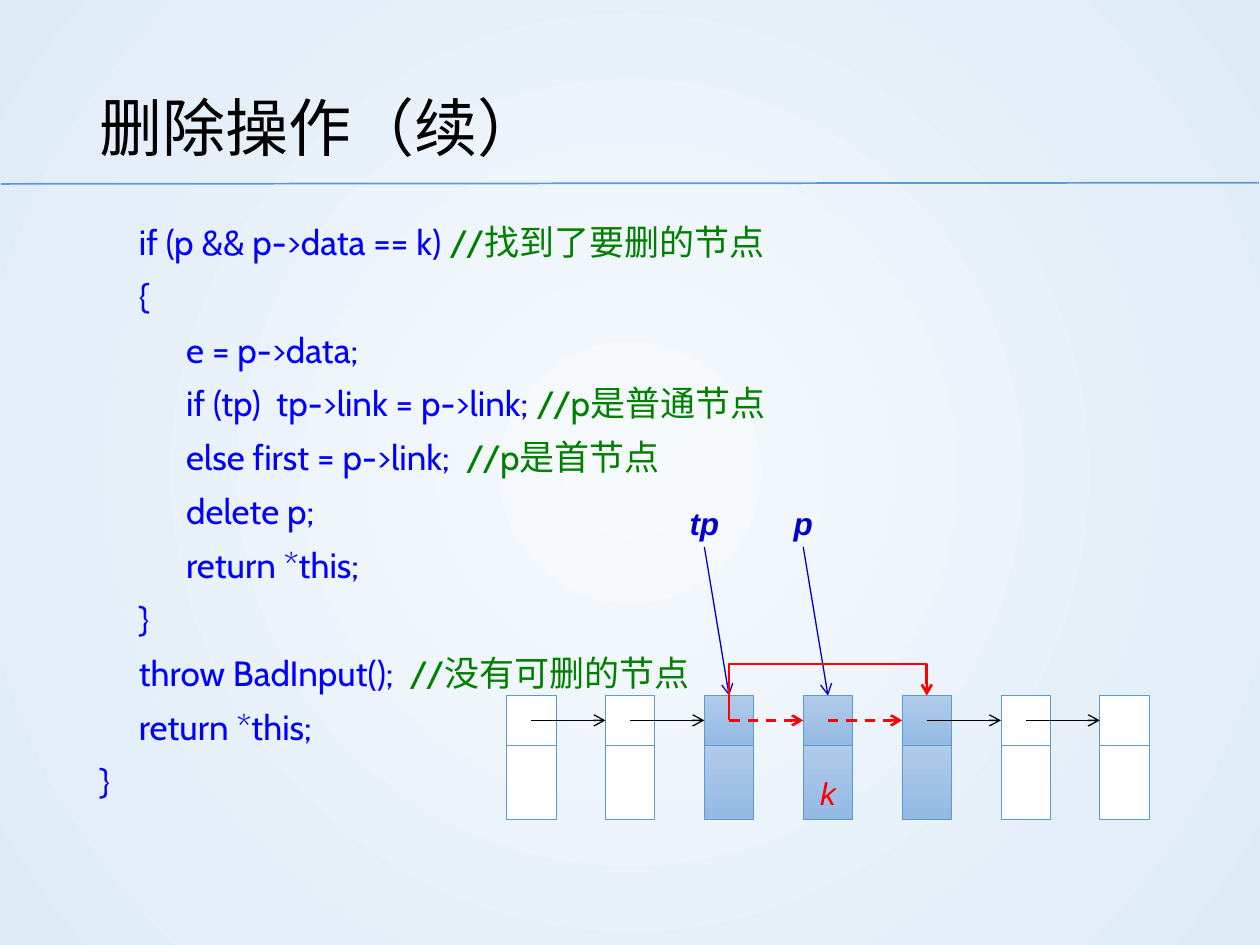
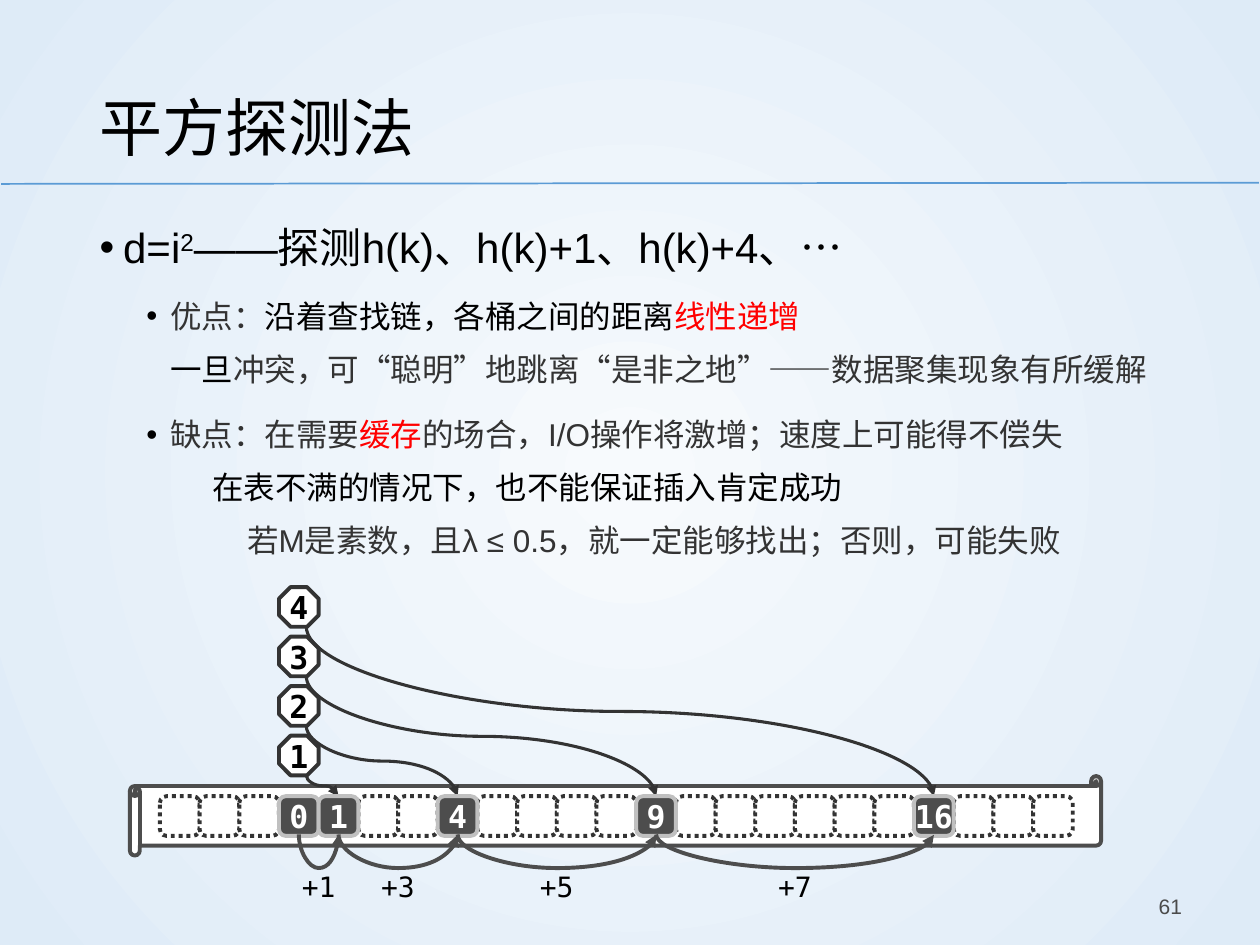
"""Build two slides on linked-list deletion and quadratic probing."""
import lxml.etree
import pptx
import pptx.dml.color
import pptx.enum.dml
import pptx.enum.shapes
import pptx.enum.text
import pptx.oxml.ns
import pptx.util

Pt = pptx.util.Pt
qn = pptx.oxml.ns.qn
SHAPE = pptx.enum.shapes.MSO_SHAPE
CONNECTOR = pptx.enum.shapes.MSO_CONNECTOR
DASH = pptx.enum.dml.MSO_LINE
ALIGN = pptx.enum.text.PP_ALIGN
MIDDLE = pptx.enum.text.MSO_ANCHOR.MIDDLE

BLACK, WHITE, RED, BLUE, GREEN = "000000", "FFFFFF", "FF0000", "0000FF", "008000"
NAVY, RULE, INK, DARK, SILVER = "0000CC", "5B9BD5", "333333", "4D4D4D", "C0C0C0"
PAPER = ("F7FAFD", "DEEBF7")
NODE_SHADE = ("B1CBE9", "93B9E4")
SANS, CODE, MONO = "Arial", "Cabin", "DejaVu Sans Mono"

DELETE_TITLE = "删除操作（续）"
DELETE_CODE = [
    (1, [("if (p && p->data == k) ", BLUE), ("//找到了要删的节点", GREEN)]),
    (1, [("{", BLUE)]),
    (2, [("e = p->data;", BLUE)]),
    (2, [("if (tp)  tp->link = p->link;", BLUE), (" //p是普通节点", GREEN)]),
    (2, [("else first = p->link;  ", BLUE), ("//p是首节点", GREEN)]),
    (2, [("delete p;", BLUE)]),
    (2, [("return *this;", BLUE)]),
    (1, [("}", BLUE)]),
    (1, [("throw BadInput();  ", BLUE), ("//没有可删的节点", GREEN)]),
    (1, [("return *this;", BLUE)]),
    (0, [("}", BLUE)]),
]
CODE_INDENTS = (0, 22.5, 49.5)
NODE_COUNT, SHADED_NODES, DELETED_NODE = 7, (2, 3, 4), 3
POINTERS = {"tp": 2, "p": 3}

PROBE_TITLE = "平方探测法"
PROBE_HEAD = [("d=i", BLACK), ("2", BLACK), ("——探测h(k)、h(k)+1、h(k)+4、…", BLACK)]
PROBE_POINTS = [
    (40.3, True, 5.4, 0, [("优点：", INK), ("沿着查找链，各桶之间的距离", BLACK), ("线性递增", RED)]),
    (40.3, False, 0, 1.8, [("一旦", BLACK),
                           ("冲突，可“聪明”地跳离“是非之地”——数据聚集现象有所缓解", INK)]),
    (40.3, True, 5.4, 0, [("缺点：在需要", INK), ("缓存", RED),
                          ("的场合，I/O操作将激增；速度上可能得不偿失", INK)]),
    (64.3, False, 0, 0, [("在表不满的情况下，也不能保证插入肯定成功", BLACK)]),
    (84.3, False, 0, 1.8, [("若M是素数，且λ ≤ 0.5，就一定能够找出；否则，可能失败", INK)]),
]
BUCKET_COUNT, HOME_BUCKET, PROBES = 23, 3, 4
PAGE_NUMBER = "61"


def color(value):
    """Turn a hex string into a colour."""
    return pptx.dml.color.RGBColor.from_string(value)


def gradient(fill, stops):
    """Fill with a top-to-bottom gradient of two colours."""
    fill.gradient()
    fill.gradient_angle = 270
    for stop, position, value in zip(fill.gradient_stops, (0, 1), stops):
        stop.position, stop.color.rgb = position, color(value)


def paint_background(master):
    """Give the master a radial background."""
    gradient(master.background.fill, PAPER)
    shade = master.element.find(".//" + qn("p:bg")).find(".//" + qn("a:gradFill"))
    shade.remove(shade.find(qn("a:lin")))
    circle = lxml.etree.SubElement(shade, qn("a:path"), {"path": "circle"})
    sides = {side: "50000" for side in "ltrb"}
    lxml.etree.SubElement(circle, qn("a:fillToRect"), sides)


def style(span, font, size, value, bold=False, italic=False):
    """Format one run."""
    span.font.name, span.font.size = font, Pt(size)
    span.font.bold, span.font.italic = bold, italic
    span.font.color.rgb = color(value)


def set_line(line, value, width, dash=None):
    """Set the colour, width and dash of a line."""
    line.color.rgb, line.width = color(value), Pt(width)
    if dash:
        line.dash_style = dash


def write_para(para, spans, font, size, left, bullet, spacing, before, after=0):
    """Write coloured runs into a paragraph with its indent and bullet."""
    for text, value in spans:
        span = para.add_run()
        span.text = text
        style(span, font, size, value)
    para.line_spacing, para.space_before, para.space_after = spacing, Pt(before), Pt(after)
    props = para._p.get_or_add_pPr()
    props.set("marL", str(Pt(left)))
    props.set("indent", str(Pt(-13.5 if bullet else 0)))
    if bullet:
        tint = lxml.etree.SubElement(props, qn("a:buClr"))
        lxml.etree.SubElement(tint, qn("a:srgbClr"), {"val": BLACK})
        lxml.etree.SubElement(props, qn("a:buFont"), {"typeface": SANS})
        lxml.etree.SubElement(props, qn("a:buChar"), {"char": "•"})
    else:
        lxml.etree.SubElement(props, qn("a:buNone"))


def add_label(page, text, at, font, size, value, align=ALIGN.CENTER, **weight):
    """Add a one-line text box without insets."""
    box = page.shapes.add_textbox(*map(Pt, at))
    fill_text(box, text, font, size, value, align, **weight)


def fill_text(box, text, font, size, value, align=ALIGN.CENTER, **weight):
    """Put one centred line in a shape."""
    frame = box.text_frame
    frame.text = text
    frame.word_wrap, frame.vertical_anchor = False, MIDDLE
    frame.margin_left = frame.margin_right = frame.margin_top = frame.margin_bottom = 0
    frame.paragraphs[0].alignment = align
    style(frame.paragraphs[0].runs[0], font, size, value, **weight)


def add_box(page, kind, at, fill, line, width, dash=None):
    """Add a filled preset shape; a pair of colours makes a gradient."""
    box = page.shapes.add_shape(kind, *map(Pt, at))
    box.shadow.inherit = False
    if isinstance(fill, tuple):
        gradient(box.fill, fill)
    else:
        box.fill.solid()
        box.fill.fore_color.rgb = color(fill)
    set_line(box.line, line, width, dash)
    return box


def add_link(page, kind, start, end, value, width, head=None, dash=None):
    """Add a connector with an optional arrowhead."""
    link = page.shapes.add_connector(kind, *map(Pt, start + end))
    set_line(link.line, value, width, dash)
    outline = link.element.spPr.find(qn("a:ln"))
    if head:
        lxml.etree.SubElement(outline, qn("a:tailEnd"), {"type": head})
    lxml.etree.SubElement(link.element.spPr, qn("a:effectLst"))
    return link


def bend(link, preset, *adjusts):
    """Set the preset and adjustments of a connector."""
    geometry = link.element.spPr.find(qn("a:prstGeom"))
    geometry.set("prst", preset)
    guides = geometry.find(qn("a:avLst"))
    if guides is None:
        guides = lxml.etree.SubElement(geometry, qn("a:avLst"))
    names = ["adj1", "adj2"]
    for name, adjust in zip(names, adjusts):
        guide = {"name": name, "fmla": f"val {round(adjust * 100000)}"}
        lxml.etree.SubElement(guides, qn("a:gd"), guide)


def add_curve(page, start, end, value, width, dip):
    """Add a curve that leaves downwards and turns dip points below its start."""
    (x1, y1), (x2, y2) = start, end
    across, down = x2 - x1, y2 - y1
    left, top = (x1 + x2 - down) / 2, (y1 + y2 - across) / 2
    link = add_link(page, CONNECTOR.CURVE, (left, top + across), (left + down, top),
                    value, width, "triangle")
    link.element.spPr.find(qn("a:xfrm")).set("rot", "5400000")
    bend(link, "curvedConnector3", dip / down)


def add_page(deck, title):
    """Add a page with its title and rule, and return it with its body frame."""
    page = deck.slides.add_slide(deck.slide_layouts[1])
    add_link(page, CONNECTOR.STRAIGHT, (0.7, 105.1), (719.3, 104.4), RULE, 1)
    heading, body = page.shapes.title, page.placeholders[1]
    for box, top, height in ((heading, 28.8, 77.8), (body, 117.4, 369.4)):
        box.left, box.top, box.width, box.height = map(Pt, (49.7, top, 620.6, height))
        box.text_frame.auto_size = pptx.enum.text.MSO_AUTO_SIZE.NONE
    heading.text_frame.text = title
    heading.text_frame.vertical_anchor = MIDDLE
    para = heading.text_frame.paragraphs[0]
    para.alignment, para.line_spacing = ALIGN.LEFT, 1.2
    style(para.runs[0], SANS, 36, BLACK)
    return page, body.text_frame


def draw_linked_list(page):
    """Draw the nodes, their links and the pointers."""
    first, pitch, side, top, data_height = 289.5, 56.5, 28.3, 397.5, 42.4
    lefts = [first + pitch * node for node in range(NODE_COUNT)]
    centers = [left + side / 2 for left in lefts]
    middle = top + side / 2
    for node, left in enumerate(lefts):
        fill = NODE_SHADE if node in SHADED_NODES else WHITE
        for y, height in ((top + side, data_height), (top, side)):
            add_box(page, SHAPE.RECTANGLE, (left, y, side, height), fill, RULE, 0.5)
    add_label(page, "k", (lefts[DELETED_NODE], 438.5, side, 28.8), SANS, 18, RED, italic=True)
    for node in range(NODE_COUNT - 1):
        cut = node in (DELETED_NODE - 1, DELETED_NODE)
        look = (RED, 1.5, "arrow", DASH.DASH) if cut else (BLACK, 0.75, "arrow")
        add_link(page, CONNECTOR.STRAIGHT, (centers[node], middle),
                 (lefts[node + 1], middle), *look)
    for name, node in POINTERS.items():
        add_link(page, CONNECTOR.STRAIGHT, (lefts[node], 312.5), (centers[node], top),
                 NAVY, 0.75, "arrow")
        add_label(page, name, (lefts[node] - pitch / 2, 284.4, pitch, 28.8), SANS, 18, NAVY,
                  bold=True, italic=True)
    bypass = add_link(page, CONNECTOR.ELBOW, (centers[DELETED_NODE - 1], middle),
                      (centers[DELETED_NODE + 1], top), RED, 1.5, "arrow")
    bend(bypass, "bentConnector4", 0, 2.27)


def draw_probing(page):
    """Draw the bucket row, the probe badges and their jumps."""
    first, side, top, badge_top, badge_pitch = 91.4, 22.68, 455, 420.4, 28.3
    squares = [probe ** 2 for probe in range(PROBES + 1)]
    taken = [HOME_BUCKET + square for square in squares]
    lefts = [first + side * bucket for bucket in range(BUCKET_COUNT)]
    hits = [lefts[bucket] + side / 2 for bucket in taken]
    home = lefts[HOME_BUCKET]

    scroll = add_box(page, SHAPE.HORIZONTAL_SCROLL, (74.2, 443.5, 555, 45.4), WHITE, DARK, 2.25)
    scroll.adjustments[0] = 0.125
    for bucket, left in enumerate(lefts):
        if bucket not in taken:
            add_box(page, SHAPE.ROUNDED_RECTANGLE, (left, top, side, side), WHITE, INK, 2.25,
                    DASH.ROUND_DOT)
    for probe, square in enumerate(squares):
        badge = badge_top - badge_pitch * (probe - 1)
        if probe:
            start = (home + 15.6, badge + side)
            add_curve(page, start, (hits[probe], top), INK, 1.75, (top - start[1]) / 2)
        cell = add_box(page, SHAPE.ROUNDED_RECTANGLE, (lefts[taken[probe]], top, side, side),
                       DARK, SILVER, 2.25)
        fill_text(cell, str(square), MONO, 18, WHITE, bold=True)
        if probe:
            octagon = add_box(page, SHAPE.OCTAGON, (home, badge, side, side), WHITE, INK, 2.25)
            fill_text(octagon, str(probe), MONO, 18, BLACK, bold=True)
    for probe, (here, there) in enumerate(zip(hits, hits[1:]), 1):
        add_curve(page, (here, 476.8), (there, 477.05), DARK, 2.25, 18.85)
        add_label(page, f"+{2 * probe - 1}", ((here + there - side) / 2, 495, side, side),
                  MONO, 16, BLACK)


def main():
    """Build and save the deck."""
    deck = pptx.Presentation()
    deck.slide_width, deck.slide_height = Pt(720), Pt(540)
    paint_background(deck.slide_master)

    page, frame = add_page(deck, DELETE_TITLE)
    for row, (depth, spans) in enumerate(DELETE_CODE):
        para = frame.add_paragraph() if row else frame.paragraphs[0]
        write_para(para, spans, CODE, 20, CODE_INDENTS[depth], False, 1.2, 2)
    draw_linked_list(page)

    page, frame = add_page(deck, PROBE_TITLE)
    head = frame.paragraphs[0]
    write_para(head, PROBE_HEAD, SANS, 24, 13.5, True, 1.2, 7.5)
    head.runs[1]._r.get_or_add_rPr().set("baseline", "30000")
    for left, bullet, before, after, spans in PROBE_POINTS:
        para = frame.add_paragraph()
        para.level = 1
        write_para(para, spans, SANS, 18, left, bullet, 1.4, before, after)
    add_label(page, PAGE_NUMBER, (520.6, 503.3, 154.8, 28.8), SANS, 12, "4B4B4B", ALIGN.RIGHT)
    draw_probing(page)

    deck.save("out.pptx")


if __name__ == "__main__":
    main()
